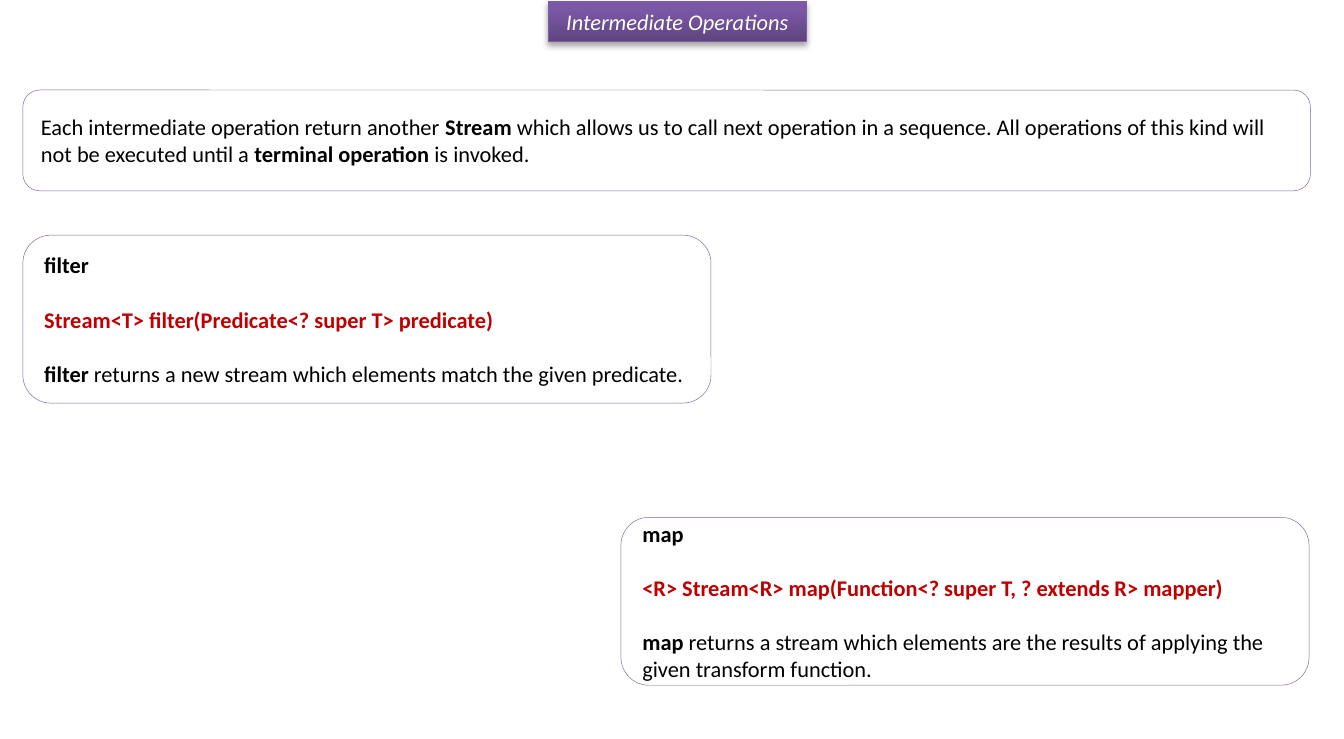
from copy import deepcopy
from dataclasses import dataclass

from lxml.etree import SubElement as Sub
from pptx import Presentation
from pptx.dml.color import RGBColor as Rgb
from pptx.enum.shapes import MSO_SHAPE as Kind
from pptx.enum.text import MSO_ANCHOR as Anchor, PP_ALIGN as Align
from pptx.oxml.ns import qn
from pptx.util import Pt

PX = 9144


@dataclass(frozen=True)
class Theme:
    font: str = "Calibri"
    size: float = 12
    gap: float = 14.6
    ink: str = "000000"
    paper: str = "FFFFFF"
    code: str = "C00000"
    edge: str = "8064A2"
    rim: str = "7D60A0"
    fade: tuple = ((0, "5F4480"), (0.8, "7B58A6"), (1, "7C57A8"))


THEME = Theme()


def put(item, **vals):
    for key, val in vals.items():
        setattr(item, key, val)


def add_box(slide, kind, spot, edge, width):
    box = slide.shapes.add_shape(kind, *(n * PX for n in spot))
    box.shadow.inherit = False
    box.line.color.rgb = Rgb.from_string(edge)
    box.line.width = Pt(width)
    put(box.text_frame, word_wrap=True, vertical_anchor=Anchor.MIDDLE)
    return box


def add_run(para, text, color=THEME.ink, **vals):
    run = para.add_run()
    run.text = text
    put(run.font, name=THEME.font, size=Pt(THEME.size), **vals)
    run.font.color.rgb = Rgb.from_string(color)


def add_fade(box):
    box.fill.gradient()
    box.fill.gradient_angle = 90
    stops = box.element.spPr.find(".//" + qn("a:gsLst"))
    stops.append(deepcopy(stops[0]))
    for stop, (place, color) in zip(box.fill.gradient_stops, THEME.fade):
        stop.position = place
        stop.color.rgb = Rgb.from_string(color)


def add_shade(box):
    root = box.element.spPr.find(qn("a:effectLst"))
    shade = Sub(root, qn("a:outerShdw"), blurRad=str(Pt(3.1)), dist=str(Pt(1.8)),
                dir="5400000", rotWithShape="0")
    tone = Sub(shade, qn("a:srgbClr"), val=THEME.ink)
    Sub(tone, qn("a:alpha"), val="35000")


def add_title(slide, spot, text):
    box = add_box(slide, Kind.RECTANGLE, spot, THEME.rim, 0.75)
    add_fade(box)
    add_shade(box)
    para = box.text_frame.paragraphs[0]
    para.alignment = Align.CENTER
    add_run(para, text, THEME.paper, italic=True)


def add_card(slide, spot, paras):
    box = add_box(slide, Kind.ROUNDED_RECTANGLE, spot, THEME.edge, 0.25)
    box.fill.solid()
    box.fill.fore_color.rgb = Rgb.from_string(THEME.paper)
    frame = box.text_frame
    for i, runs in enumerate(paras):
        para = frame.add_paragraph() if i else frame.paragraphs[0]
        put(para, alignment=Align.LEFT, space_before=Pt(THEME.gap if i else 0))
        for text, vals in runs:
            add_run(para, text, **vals)


def add_method(slide, left, top, name, code, note):
    bold = {"bold": True}
    add_card(slide, (left, top, 512, 125), [
        [(name, bold)],
        [(code, {"color": THEME.code, **bold})],
        [(name, bold), (note, {})],
    ])


def main():
    deck = Presentation()
    put(deck, slide_width=1000 * PX, slide_height=550 * PX)
    slide = deck.slides.add_slide(deck.slide_layouts[6])
    add_title(slide, (408, 1, 192, 30), "Intermediate Operations")
    add_card(slide, (17, 67, 958, 75), [[
        ("Each intermediate operation return another ", {}),
        ("Stream", {"bold": True}),
        (" which allows us to call next operation in a sequence. "
         "All operations of this kind will not be executed until a ", {}),
        ("terminal operation", {"bold": True}),
        (" is invoked.", {}),
    ]])
    add_method(slide, 17, 175, "filter",
               "Stream<T> filter(Predicate<? super T> predicate)",
               " returns a new stream which elements match the given predicate.")
    add_method(slide, 462, 385, "map",
               "<R> Stream<R> map(Function<? super T, ? extends R> mapper)",
               " returns a stream which elements are the results of applying "
               "the given transform function.")
    deck.save("out.pptx")


if __name__ == "__main__":
    main()
